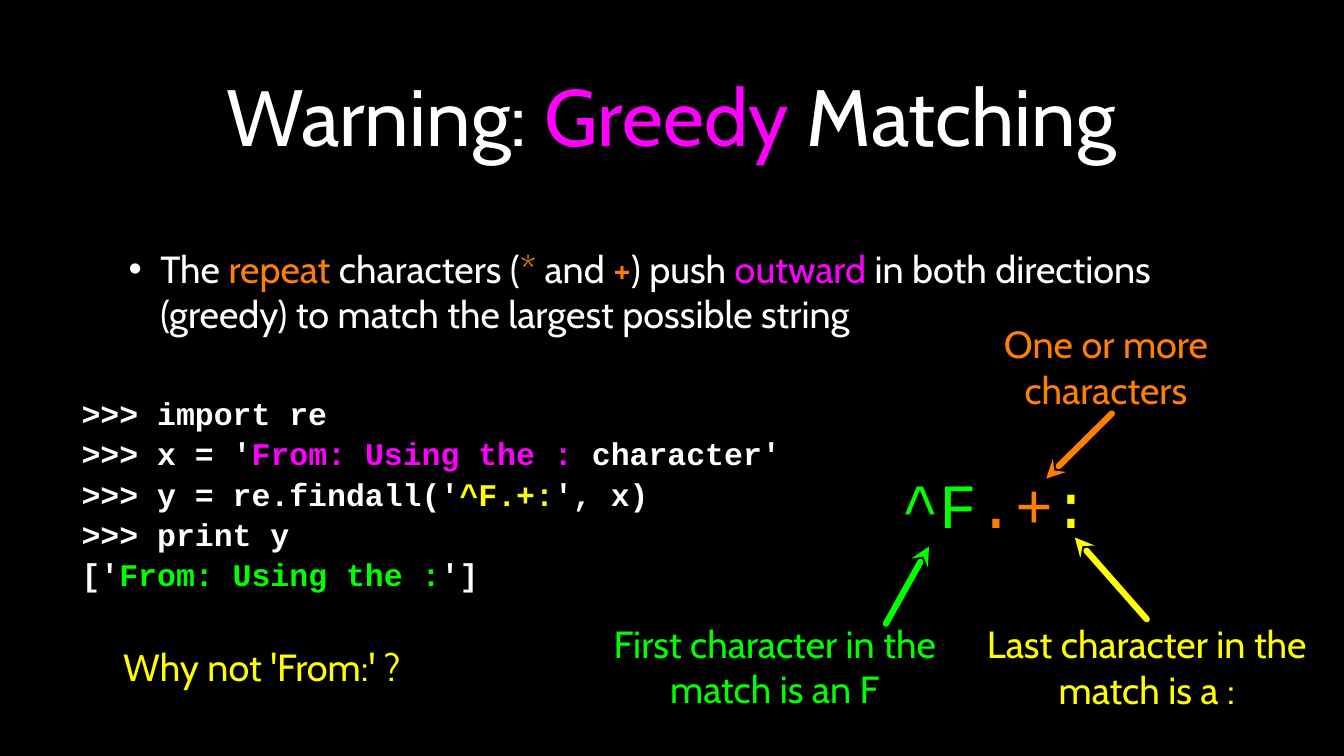
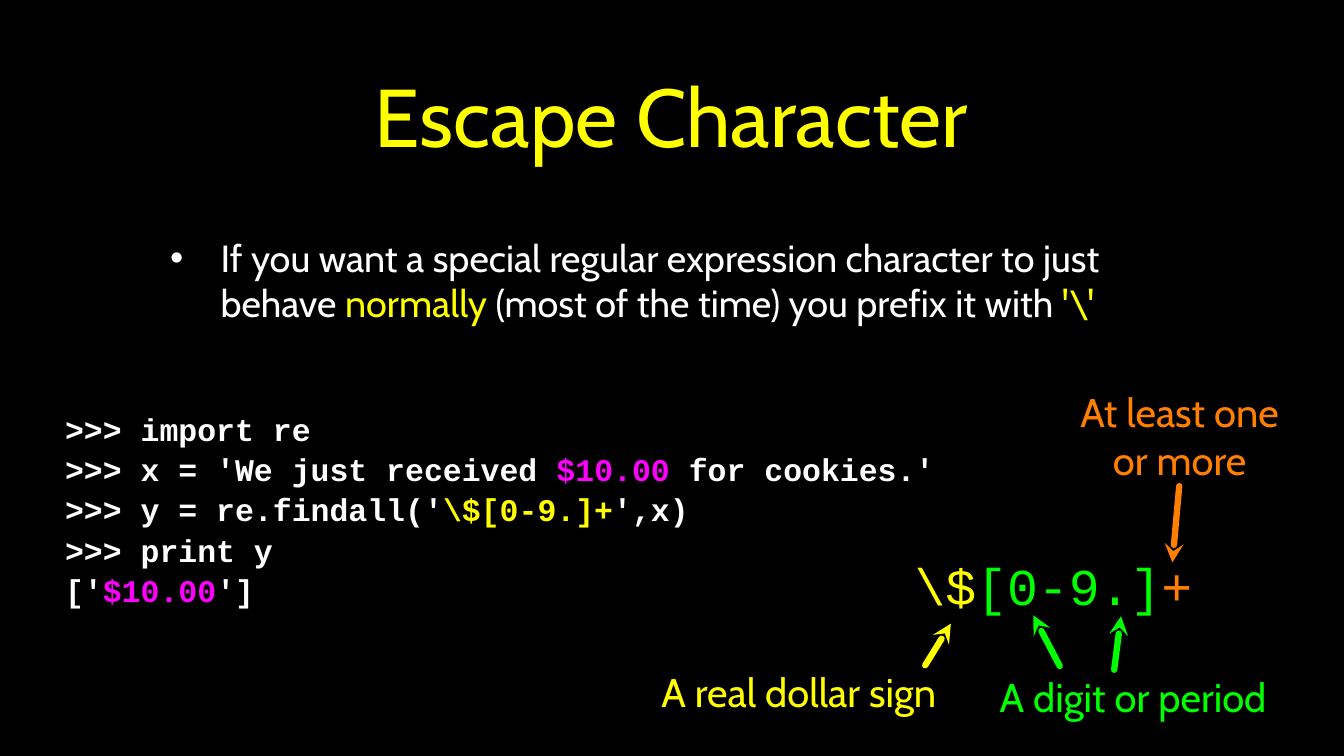
from lxml.etree import SubElement
from pptx import Presentation
from pptx.dml.color import RGBColor
from pptx.enum.shapes import MSO_CONNECTOR
from pptx.enum.text import MSO_ANCHOR, MSO_AUTO_SIZE, PP_ALIGN
from pptx.oxml.ns import qn
from pptx.util import Inches, Pt

COLOURS = {
    "black": "000000",
    "white": "FFFFFF",
    "magenta": "FF00FF",
    "orange": "FF7F00",
    "green": "00FF00",
    "yellow": "FFFF00",
}
PROSE, CODE = "Cabin", "Courier New"
WIDTH, HEIGHT = Inches(17.78), Inches(10)


def colour(name):
    return RGBColor.from_string(COLOURS[name])


class Lesson:
    """Holds the style and the current slide; lengths are percent of the slide's width and height."""

    def __init__(self):
        self.deck = Presentation()
        self.deck.slide_width, self.deck.slide_height = WIDTH, HEIGHT
        background = self.deck.slide_master.background.fill
        background.solid()
        background.fore_color.rgb = colour("black")

    def new_slide(self):
        self.slide = self.deck.slides.add_slide(self.deck.slide_layouts[1])

    def point(self, x, y):
        return round(WIDTH * x / 100), round(HEIGHT * y / 100)

    def fill_text(self, shape, area, lines, size, font=PROSE, align=PP_ALIGN.LEFT, inset=0, bold=False):
        """Fill a shape with lines of spans; a span is white text or a (colour, text) pair."""
        shape.left, shape.top = self.point(*area[:2])
        shape.width, shape.height = self.point(*area[2:])
        frame = shape.text_frame
        frame.word_wrap = True
        frame.auto_size = MSO_AUTO_SIZE.NONE
        frame.vertical_anchor = MSO_ANCHOR.MIDDLE
        frame.margin_left = frame.margin_right = Inches(inset)
        frame.margin_top = frame.margin_bottom = Inches(inset)
        for number, line in enumerate(lines):
            paragraph = frame.add_paragraph() if number else frame.paragraphs[0]
            paragraph.alignment = align
            paragraph.space_before = Pt(0)
            for span in line:
                tint, words = ("white", span) if isinstance(span, str) else span
                run = paragraph.add_run()
                run.text = words
                run.font.name, run.font.size, run.font.bold = font, Pt(size), bold
                run.font.color.rgb = colour(tint)
        return frame

    def text_box(self, area, lines, size, **style):
        box = self.slide.shapes.add_textbox(0, 0, 0, 0)
        return self.fill_text(box, area, lines, size, **style)

    def title(self, spans, size, inset):
        self.fill_text(self.slide.shapes.title, (7.09, 2.6, 85.71, 25.1), [spans], size,
                       align=PP_ALIGN.CENTER, inset=inset)

    def bullet(self, area, spans, indent, hanging, inset):
        frame = self.fill_text(self.slide.placeholders[1], area, [spans], 36, inset=inset)
        properties = frame.paragraphs[0]._p.get_or_add_pPr()
        properties.set("marL", str(Inches(indent)))
        properties.set("indent", str(-Inches(hanging)))
        bullet_colour = SubElement(properties, qn("a:buClr"))
        SubElement(bullet_colour, qn("a:srgbClr"), val=COLOURS["white"])
        SubElement(properties, qn("a:buChar"), char="•")

    def session(self, area, lines):
        frame = self.text_box(area, lines, 30, font=CODE, bold=True)
        for paragraph in frame.paragraphs:
            paragraph.line_spacing = 1.07

    def pattern(self, area, spans, size):
        self.text_box(area, [spans], size, font=CODE)

    def label(self, area, tint, words, size):
        self.text_box(area, [[(tint, words)]], size, align=PP_ALIGN.CENTER)

    def arrow(self, tint, tail, tip):
        arrow = self.slide.shapes.add_connector(
            MSO_CONNECTOR.STRAIGHT, *self.point(*tail), *self.point(*tip))
        arrow.line.width = Pt(6)
        arrow.line.color.rgb = colour(tint)
        line = arrow.line._get_or_add_ln()
        line.set("cap", "rnd")
        SubElement(line, qn("a:tailEnd"), type="stealth")
        SubElement(arrow._element.spPr, qn("a:effectLst"))


def greedy_matching(lesson):
    lesson.new_slide()
    lesson.title(["Warning: ", ("magenta", "Greedy"), " Matching"], 76, inset=0.04)
    lesson.bullet(
        (7.09, 28.5, 85.71, 20),
        ["The ", ("orange", "repeat"), " characters (", ("orange", "*"), " and ", ("orange", "+"),
         ") push ", ("magenta", "outward"),
         " in both directions (greedy) to match the largest possible string"],
        indent=0.82, hanging=0.42, inset=0.04)
    lesson.session((6.07, 50.3, 61.7, 29.6), [
        [">>> import re"],
        [">>> x = '", ("magenta", "From: Using the :"), " character'"],
        [">>> y = re.findall('", ("yellow", "^F.+:"), "', x)"],
        [">>> print y"],
        ["['", ("green", "From: Using the :"), "']"],
    ])
    lesson.pattern((67.1, 61, 15.92, 11.2),
                   [("green", "^F"), ("orange", ".+"), ("yellow", ":")], 60)
    for area, tint, words in [
        ((72.33, 42.2, 19.91, 12.5), "orange", "One or more characters"),
        ((44.83, 81.8, 25.65, 12.5), "green", "First character in the match is an F"),
        ((72.5, 81.9, 25.65, 12.5), "yellow", "Last character in the match is a :"),
        ((7.09, 85.2, 24.8, 6), "yellow", "Why not 'From:' ?"),
    ]:
        lesson.label(area, tint, words, 36)
    lesson.arrow("orange", (82.73, 54.7), (77.84, 63.3))
    lesson.arrow("green", (65.92, 82.5), (69.12, 72.3))
    lesson.arrow("yellow", (85.32, 81.9), (79.98, 71.1))


def escape_character(lesson):
    lesson.new_slide()
    lesson.title([("yellow", "Escape Character")], 78, inset=0.06)
    lesson.bullet(
        (9.28, 28.3, 81.38, 17.5),
        ["If you want a special regular expression character to just behave ",
         ("yellow", "normally"), " (most of the time) you prefix it with ", ("yellow", "'\\'")],
        indent=1.21, hanging=0.67, inset=0.06)
    lesson.session((4.84, 51.2, 66.59, 32), [
        [">>> import re"],
        [">>> x = 'We just received ", ("magenta", "$10.00"), " for cookies.'"],
        [">>> y = re.findall('", ("yellow", "\\$[0-9.]+"), "',x)"],
        [">>> print y"],
        ["['", ("magenta", "$10.00"), "']"],
    ])
    lesson.pattern((68.05, 72.9, 21.03, 8.9),
                   [("yellow", "\\$"), ("green", "[0-9.]"), ("orange", "+")], 49)
    for area, tint, words in [
        ((73.85, 88.6, 20.92, 7.2), "green", "A digit or period"),
        ((48.93, 87.9, 21.03, 7.2), "yellow", "A real dollar sign"),
        ((78.91, 51, 17.72, 13.3), "orange", "At least one or more"),
    ]:
        lesson.label(area, tint, words, 38)
    lesson.arrow("yellow", (68.84, 88), (70.75, 82.5))
    lesson.arrow("green", (78.85, 88.1), (76.88, 81.4))
    lesson.arrow("green", (82.9, 88.6), (83.41, 81.5))
    lesson.arrow("orange", (87.74, 64.3), (87.23, 74.4))


def main():
    lesson = Lesson()
    greedy_matching(lesson)
    escape_character(lesson)
    lesson.deck.save("out.pptx")


if __name__ == "__main__":
    main()
